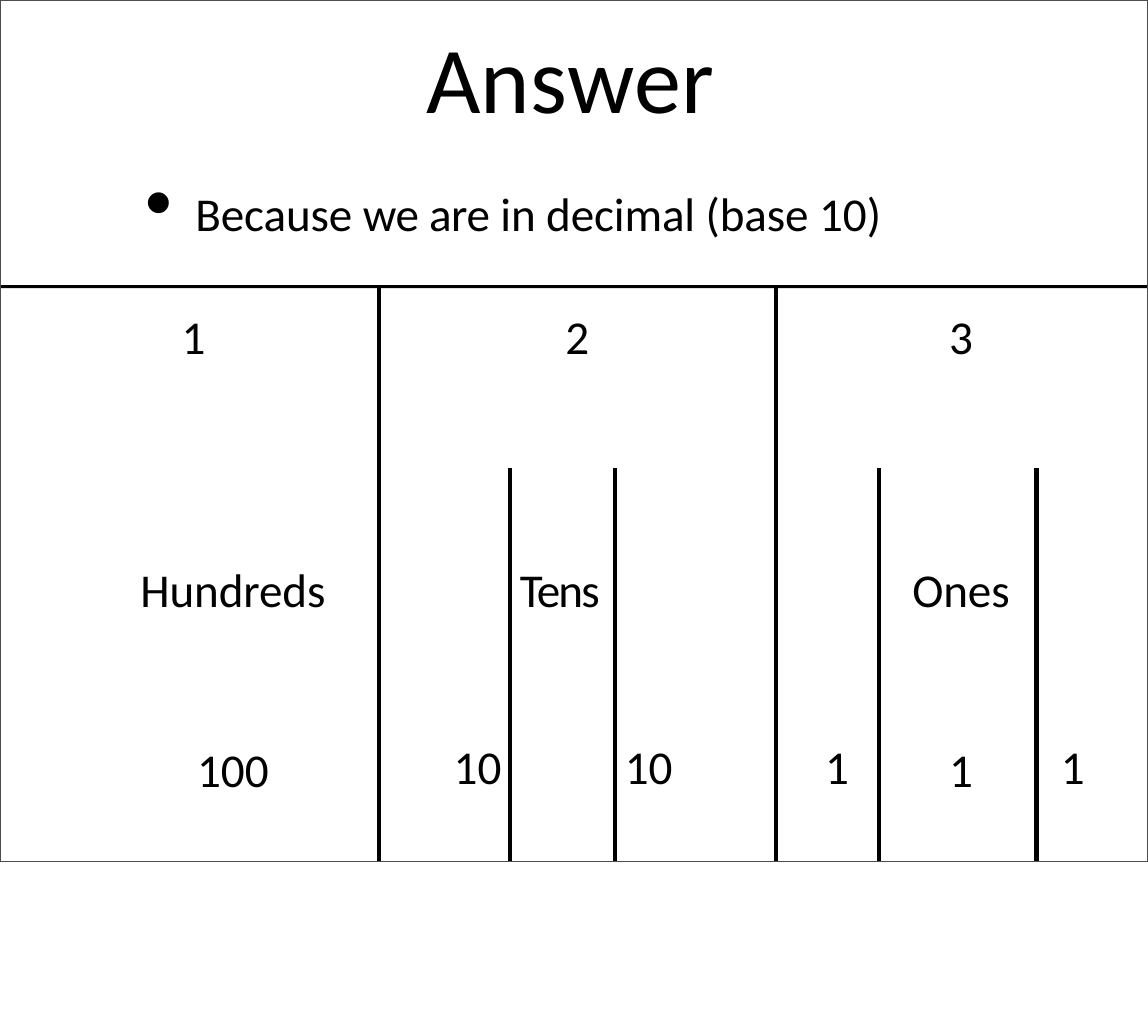
from dataclasses import dataclass

from lxml import etree
from pptx import Presentation
from pptx import util as u
from pptx.dml.color import RGBColor
from pptx.enum import shapes, text
from pptx.oxml import ns

BLACK, GREY = "000000", "4C4C4C"
PAGE_WIDTH, FRAME_HEIGHT = 14.22, 10.67
COLUMNS = [3.61, 1.63, 1.3, 1.99, 1.28, 1.95, 0.62]
ROWS = [2.24, 4.87]
DIGIT_TOP, NAME_TOP, VALUE_TOP = 0.28, 1.17, 3.36
VALUE_GAP = 109.3  # points between a place name and the value below it
NO_STYLE = "{2D5ABB26-0587-4C30-8999-92F81FD0307C}"
# (row, column) of the cells that carry a rule on their right side
RULED = [(0, 0), (1, 0), (1, 1), (0, 3), (1, 3), (1, 4)]


@dataclass
class Entry:
    row: int
    column: int
    lines: list[str]
    top: float
    left: float = 0
    centred: bool = False
    spacing: float = 0
    span: int = 1


ENTRIES = [
    Entry(0, 0, ["1"], DIGIT_TOP, left=1.17),
    Entry(0, 1, ["2"], DIGIT_TOP, centred=True, span=3),
    Entry(0, 4, ["3"], DIGIT_TOP, left=0.74, centred=True, span=3),
    Entry(1, 0, ["Hundreds", "100"], NAME_TOP, centred=True, spacing=-0.1),
    Entry(1, 1, ["10"], VALUE_TOP, left=0.93),
    Entry(1, 2, ["Tens"], NAME_TOP, left=0.12, spacing=-1.6),
    Entry(1, 3, ["10"], VALUE_TOP, left=0.12),
    Entry(1, 4, ["1"], VALUE_TOP, left=0.61),
    Entry(1, 5, ["Ones", "1"], NAME_TOP, left=0.08, centred=True, spacing=-0.1),
    Entry(1, 6, ["1"], VALUE_TOP, left=0.3),
]


def colour(value: str) -> RGBColor:
    return RGBColor.from_string(value)


def write(para, spans: list[tuple[str, float]], size: float = 42,
          centred: bool = False, before: float = 0) -> None:
    """Add spans of (wording, letter spacing in points) to a paragraph."""
    para.alignment = text.PP_ALIGN.CENTER if centred else text.PP_ALIGN.LEFT
    para.space_before = u.Pt(before)
    for wording, spacing in spans:
        span = para.add_run()
        span.text = wording
        span.font.name = "Calibri"
        span.font.size = u.Pt(size)
        span.font.color.rgb = colour(BLACK)
        if spacing:
            span.font._element.set("spc", str(round(spacing * 100)))


def set_margins(holder, top: float, left: float = 0) -> None:
    holder.margin_left, holder.margin_top = u.Inches(left), u.Inches(top)
    holder.margin_right = holder.margin_bottom = 0


def add_text_box(page, left: float, top: float, width: float, height: float):
    box = page.shapes.add_textbox(*map(u.Inches, (left, top, width, height)))
    box.text_frame.word_wrap = True
    set_margins(box.text_frame, 0.02)
    return box.text_frame.paragraphs[0]


def add_bullet(para, indent: float, hanging: float) -> None:
    properties = para._p.get_or_add_pPr()
    properties.set("marL", str(u.Inches(indent)))
    properties.set("indent", str(-u.Inches(hanging)))
    etree.SubElement(properties, ns.qn("a:buSzPct")).set("val", "170000")
    etree.SubElement(properties, ns.qn("a:buChar")).set("char", "•")


def add_rectangle(page, top: float, height: float, fill: str = "", line: str = "") -> None:
    """Add a rectangle as wide as the page."""
    shape = page.shapes.add_shape(shapes.MSO_SHAPE.RECTANGLE, 0, u.Inches(top),
                                  u.Inches(PAGE_WIDTH), u.Inches(height))
    shape.shadow.inherit = False
    if fill:
        shape.fill.solid()
        shape.fill.fore_color.rgb = colour(fill)
    else:
        shape.fill.background()
    if line:
        shape.line.color.rgb = colour(line)
        shape.line.width = u.Pt(1)
    else:
        shape.line.fill.background()


def add_border(cell, side: str, position: int) -> None:
    border = etree.Element(ns.qn(f"a:{side}"), w=str(u.Pt(4.25)))
    fill = etree.SubElement(border, ns.qn("a:solidFill"))
    etree.SubElement(fill, ns.qn("a:srgbClr")).set("val", BLACK)
    cell._tc.get_or_add_tcPr().insert(position, border)


def add_place_table(page) -> None:
    table = page.shapes.add_table(
        len(ROWS), len(COLUMNS), u.Inches(1.08), u.Inches(3.56),
        u.Inches(sum(COLUMNS)), u.Inches(sum(ROWS))).table
    table.first_row = table.horz_banding = False
    table._tbl.tblPr.find(ns.qn("a:tableStyleId")).text = NO_STYLE
    for column, width in zip(table.columns, COLUMNS):
        column.width = u.Inches(width)
    for row, height in zip(table.rows, ROWS):
        row.height = u.Inches(height)
    for cell in table.iter_cells():
        cell.fill.background()
    for entry in ENTRIES:
        cell = table.cell(entry.row, entry.column)
        if entry.span > 1:
            cell.merge(table.cell(entry.row, entry.column + entry.span - 1))
        set_margins(cell, entry.top, entry.left)
        frame = cell.text_frame
        name, *values = entry.lines
        write(frame.paragraphs[0], [(name, entry.spacing)], centred=entry.centred)
        for value in values:
            write(frame.add_paragraph(), [(value, 0)], centred=entry.centred,
                  before=VALUE_GAP)
    for row, column in RULED:
        add_border(table.cell(row, column + 1), "lnL", 0)
    for row, column in RULED:
        right_cell = table.cell(row, column)
        has_left = right_cell._tc.get_or_add_tcPr().find(ns.qn("a:lnL")) is not None
        add_border(right_cell, "lnR", int(has_left))


def main() -> None:
    deck = Presentation()
    deck.slide_width, deck.slide_height = u.Inches(PAGE_WIDTH), u.Inches(12.83)
    page = deck.slides.add_slide(deck.slide_layouts[6])

    title = add_text_box(page, 5.28, 0.22, 3.66, 1.43)
    write(title, [("An", 0), ("s", -0.8), ("w", -1.7), ("er", 0)], size=84)

    reason = add_text_box(page, 1.78, 2.26, 9.18, 0.73)
    add_bullet(reason, 0.64, 0.62)
    write(reason, [("Because ", -0.1), ("we ", -0.5), ("are ", -0.3),
                   ("in decimal (base ", -0.1), ("10)", 0)])

    add_rectangle(page, 3.53, 0.04, fill=BLACK)
    add_place_table(page)
    add_rectangle(page, 0, FRAME_HEIGHT, line=GREY)
    deck.save("out.pptx")


if __name__ == "__main__":
    main()
